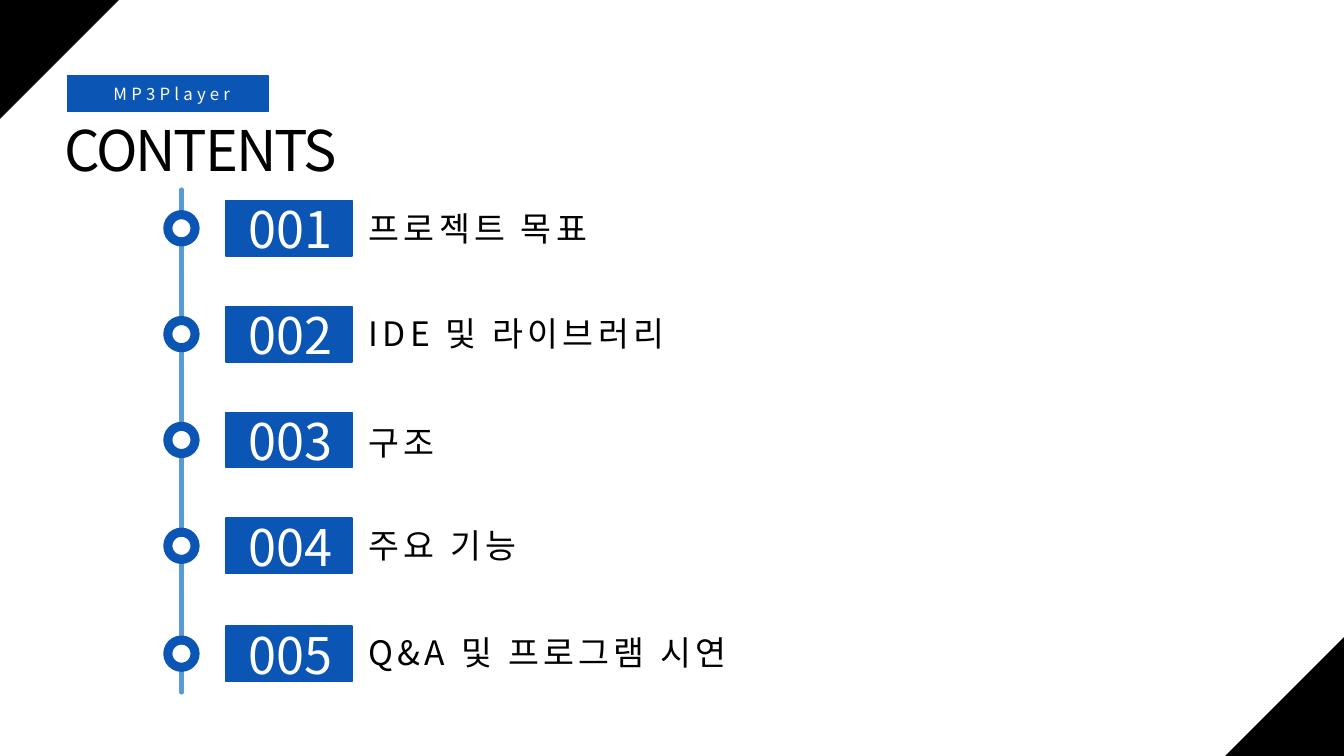
from lxml import etree
from pptx import Presentation
from pptx.dml.color import RGBColor
from pptx.enum.shapes import MSO_CONNECTOR, MSO_SHAPE
from pptx.enum.text import MSO_ANCHOR, PP_ALIGN
from pptx.oxml.ns import qn
from pptx.util import Inches, Pt

RECT, OVAL, TRI = MSO_SHAPE.RECTANGLE, MSO_SHAPE.OVAL, MSO_SHAPE.ISOSCELES_TRIANGLE
LEFT, CENTER = PP_ALIGN.LEFT, PP_ALIGN.CENTER
TOP, MID = MSO_ANCHOR.TOP, MSO_ANCHOR.MIDDLE

# Content: title, width of its box, nudge down, wraps or not
TAG = " MP3Player"
HEAD = "CONTENTS"
ITEMS = [
    ("프로젝트 목표", 2.42, 0.02, False),
    ("IDE 및 라이브러리", 3.19, 0.02, True),
    ("구조", 0.9, 0.05, False),
    ("주요 기능", 1.72, 0.02, False),
    ("Q&A 및 프로그램 시연", 3.84, 0.01, True),
]

# Look and grid
FONT = "Noto Sans CJK KR"
BLUE, SKY, BLACK, WHITE = "0B55B5", "5B9BD5", "000000", "FFFFFF"
WIDE, HIGH = 13.33, 7.5
CORNER = 1.18
FIRST, STEP, LAST = 1.99, 1.05, 6.21
AXIS, RING = 1.8, 0.27
BOX_X, BOX_W, BOX_H = 2.24, 1.25, 0.55
TEXT_X = 3.56

deck = Presentation()
deck.slide_width, deck.slide_height = Inches(WIDE), Inches(HIGH)
slide = deck.slides.add_slide(deck.slide_layouts[6])
shapes = slide.shapes


def color(code):
    return RGBColor.from_string(code)


def inches(*sizes):
    return [Inches(size) for size in sizes]


def draw(kind, x, y, w, h, fill, line=None, weight=1):
    shape = shapes.add_shape(kind, *inches(x, y, w, h))
    shape.shadow.inherit = False
    shape.fill.solid()
    shape.fill.fore_color.rgb = color(fill)
    if line:
        shape.line.color.rgb = color(line)
        shape.line.width = Pt(weight)
    else:
        shape.line.fill.background()
    return shape


def write(shape, text, size, ink=BLACK, align=LEFT, anchor=TOP, gap=0, wrap=False):
    frame = shape.text_frame
    frame.word_wrap = wrap
    frame.vertical_anchor = anchor
    para = frame.paragraphs[0]
    para.alignment = align
    run = para.add_run()
    run.text = text
    run.font.size = Pt(size)
    run.font.name = FONT
    run.font.color.rgb = color(ink)
    props = run.font._element
    if gap:
        props.set("spc", str(int(gap * 100)))
    etree.SubElement(props, qn("a:ea")).set("typeface", FONT)


def label(x, y, w, h, text, size, **style):
    write(shapes.add_textbox(*inches(x, y, w, h)), text, size, **style)


# Black corners
for x, y, turn in [(0, 0, 90), (WIDE - CORNER, HIGH - CORNER, 270)]:
    corner = draw(TRI, x, y, CORNER, CORNER, BLACK)
    corner.adjustments[0] = 0
    corner.rotation = turn

# Tag and heading
tag = draw(RECT, 0.67, 0.75, 1.99, 0.36, BLUE, BLUE)
write(tag, TAG, 12, ink=WHITE, align=CENTER, anchor=MID, gap=3, wrap=True)
label(0.54, 1.1, 2.95, 0.77, HEAD, 40, gap=-1.5)

# Timeline
axis = shapes.add_connector(MSO_CONNECTOR.STRAIGHT, *inches(AXIS, 1.88, AXIS, 6.87))
axis.line.color.rgb = color(SKY)
axis.line.width = Pt(3)
axis.line._get_or_add_ln().set("cap", "rnd")
etree.SubElement(axis._element.spPr, qn("a:effectLst"))

# Rows: ring, number, title
for i, (title, width, nudge, wrap) in enumerate(ITEMS):
    y = LAST if i == len(ITEMS) - 1 else FIRST + i * STEP
    draw(OVAL, AXIS - RING / 2, y + 0.14, RING, RING, WHITE, BLUE, 6.5)
    draw(RECT, BOX_X, y, BOX_W, BOX_H, BLUE, BLUE)
    label(2.32, y - 0.07, 1.13, 0.71, f"{i + 1:03}", 36, ink=WHITE, align=CENTER)
    label(TEXT_X, y + nudge, width, 0.5, title, 24, gap=3, wrap=wrap)

deck.save("out.pptx")
